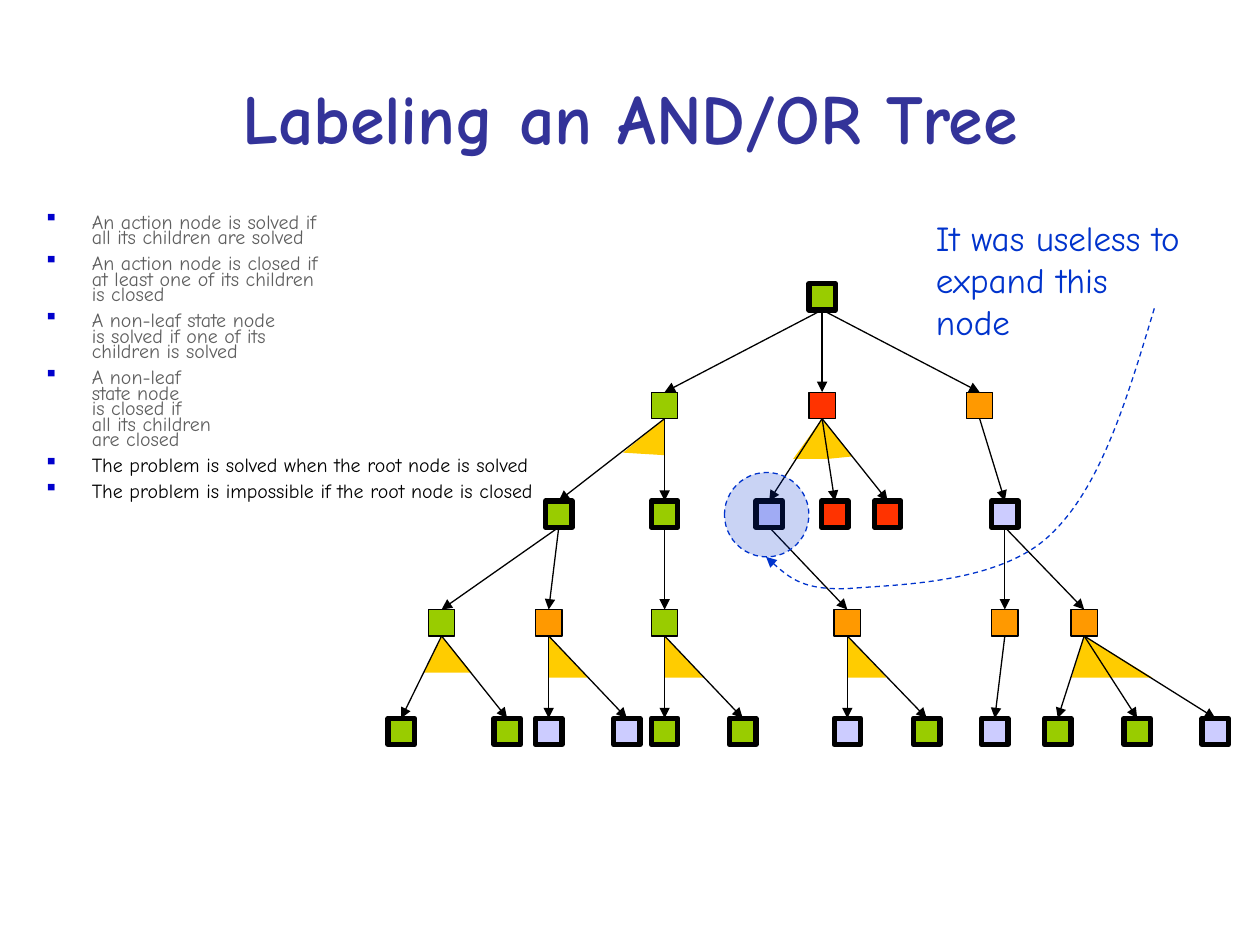
import dataclasses

import pptx
import pptx.dml.color
import pptx.enum.dml
import pptx.enum.shapes
import pptx.enum.text
import pptx.oxml
import pptx.oxml.ns
import pptx.util
from pptx.util import Inches, Pt

FONT = "Comic Neue"
COLORS = {
    "title": "333399", "bullet": "0000CC", "muted": "5F5F5F", "black": "000000",
    "note": "0033CC", "wedge": "FFCC00", "solved": "99CC00", "closed": "FF3300",
    "open_action": "FF9900", "open_state": "CCCCFF",
}
RULES = [
    ("An action node is solved if\vall its children are solved", "muted"),
    ("An action node is closed if\vat least one of its children\vis closed", "muted"),
    ("A non-leaf state node\vis solved if one of its\vchildren is solved", "muted"),
    ("A non-leaf\vstate node\vis closed if\vall its children\vare closed", "muted"),
    ("The problem is solved when the root node is solved", "black"),
    ("The problem is impossible if the root node is closed", "black"),
]
NODE_SIZE = 0.21
LEVEL_GAP = 0.8625


@dataclasses.dataclass
class Node:
    """x is the left edge within the tree; wedge lists offsets from the bottom centre."""
    x: float
    status: str
    children: tuple = ()
    wedge: tuple = ()


RIGHT_WEDGE = ((0, 0.33), (0.31, 0.33))
TREE = Node(3.34, "solved", (
    Node(2.09, "solved", (
        Node(1.25, "solved", (
            Node(0.32, "solved", (Node(0, "solved"), Node(0.84, "solved")),
                 ((-0.14, 0.29), (0.24, 0.29))),
            Node(1.17, "open_action", (Node(1.17, "open_state"), Node(1.79, "open_state")),
                 RIGHT_WEDGE),
        )),
        Node(2.09, "solved", (
            Node(2.09, "solved", (Node(2.09, "solved"), Node(2.71, "solved")), RIGHT_WEDGE),
        )),
    ), ((-0.33, 0.27), (0, 0.29))),
    Node(3.34, "closed", (
        Node(2.92, "open_state", (
            Node(3.54, "open_action", (Node(3.54, "open_state"), Node(4.17, "solved")),
                 RIGHT_WEDGE),
        )),
        Node(3.44, "closed"),
        Node(3.86, "closed"),
    ), ((-0.23, 0.32), (0.04, 0.32), (0.24, 0.3))),
    Node(4.59, "open_action", (
        Node(4.79, "open_state", (
            Node(4.79, "open_action", (Node(4.71, "open_state"),)),
            Node(5.42, "open_action",
                 (Node(5.21, "solved"), Node(5.84, "solved"), Node(6.46, "open_state")),
                 ((-0.1, 0.33), (0.54, 0.33))),
        )),
    )),
))


def rgb(name):
    return pptx.dml.color.RGBColor.from_string(COLORS[name])


def add_xml(parent, tag, **attributes):
    child = pptx.oxml.parse_xml(f"<a:{tag} {pptx.oxml.ns.nsdecls('a')}/>")
    for name, value in attributes.items():
        child.set(name, str(value))
    parent.append(child)
    return child


def style_font(paragraph, size, color, bold=False):
    font = paragraph.font
    font.name, font.size, font.bold = FONT, Pt(size), bold
    font.color.rgb = rgb(color)


def style_line(shape, color, width=0.75, dashed=False):
    shape.line.color.rgb = rgb(color)
    shape.line.width = Pt(width)
    if dashed:
        shape.line.dash_style = pptx.enum.dml.MSO_LINE.DASH


def add_text_frame(slide, left, top, width, height, wrap=True):
    box = slide.shapes.add_textbox(Inches(left), Inches(top), Inches(width), Inches(height))
    box.text_frame.word_wrap = wrap
    return box.text_frame


def add_polyline(slide, points, close):
    corners = [(Inches(x), Inches(y)) for x, y in points]
    builder = slide.shapes.build_freeform(*corners[0])
    builder.add_line_segments(corners[1:], close=close)
    shape = builder.convert_to_shape()
    shape.shadow.inherit = False
    return shape


def add_title(slide, left, top, width, height):
    frame = add_text_frame(slide, left, top, width, height)
    frame.vertical_anchor = pptx.enum.text.MSO_ANCHOR.MIDDLE
    paragraph = frame.paragraphs[0]
    paragraph.text = "Labeling an AND/OR Tree"
    paragraph.alignment = pptx.enum.text.PP_ALIGN.CENTER
    style_font(paragraph, 40, "title", bold=True)


def add_rules(slide, left, top, width, height):
    frame = add_text_frame(slide, left, top, width, height)
    for index, (text, color) in enumerate(RULES):
        paragraph = frame.add_paragraph() if index else frame.paragraphs[0]
        paragraph.text = text
        paragraph.line_spacing = 0.65
        paragraph.space_before = Pt(6 if index else 0)
        properties = paragraph._p.get_or_add_pPr()
        properties.set("marL", str(Inches(0.38)))
        properties.set("indent", str(-Inches(0.38)))
        add_xml(add_xml(properties, "buClr"), "srgbClr", val=COLORS["bullet"])
        add_xml(properties, "buChar", char="▪")
        style_font(paragraph, 11.4, color)


def add_tree(slide, left, top):
    """Draw wedges first, then nodes, then the arrows that join them."""
    levels = [[TREE]]
    while levels[-1]:
        levels.append([child for node in levels[-1] for child in node.children])

    for depth, nodes in enumerate(levels):
        bottom = top + depth * LEVEL_GAP + NODE_SIZE
        for node in nodes:
            if node.wedge:
                center = left + node.x + NODE_SIZE / 2
                points = [(center + dx, bottom + dy) for dx, dy in ((0, 0),) + node.wedge]
                wedge = add_polyline(slide, points, close=True)
                wedge.fill.solid()
                wedge.fill.fore_color.rgb = rgb("wedge")
                wedge.line.fill.background()

    squares = {}
    for depth, nodes in enumerate(levels):
        for node in nodes:
            square = slide.shapes.add_shape(
                pptx.enum.shapes.MSO_SHAPE.RECTANGLE, Inches(left + node.x),
                Inches(top + depth * LEVEL_GAP), Inches(NODE_SIZE), Inches(NODE_SIZE))
            square.shadow.inherit = False
            square.fill.solid()
            square.fill.fore_color.rgb = rgb(node.status)
            style_line(square, "black", 0.75 if depth % 2 else 3)
            squares[id(node)] = square

    for nodes in levels:
        for node in nodes:
            for child in node.children:
                arrow = slide.shapes.add_connector(
                    pptx.enum.shapes.MSO_CONNECTOR.STRAIGHT, 0, 0, 0, 0)
                arrow.begin_connect(squares[id(node)], 2)
                arrow.end_connect(squares[id(child)], 0)
                style_line(arrow, "black")
                add_xml(arrow.line._get_or_add_ln(), "tailEnd", type="triangle")
                add_xml(arrow._element.spPr, "effectLst")


def add_callout(slide, left, top):
    """Note, highlighted node and the dashed curve from one to the other."""
    frame = add_text_frame(slide, left + 1.58, top, 2.24, 0.77, wrap=False)
    for index, text in enumerate(("It was useless to", "expand this node")):
        paragraph = frame.add_paragraph() if index else frame.paragraphs[0]
        paragraph.text = text
        style_font(paragraph, 20, "note")

    circle = slide.shapes.add_shape(
        pptx.enum.shapes.MSO_SHAPE.OVAL, Inches(left), Inches(top + 2.08),
        Inches(0.67), Inches(0.67))
    circle.shadow.inherit = False
    circle.fill.solid()
    circle.fill.fore_color.rgb = rgb("note")
    fill_color = circle._element.spPr.find(pptx.oxml.ns.qn("a:solidFill"))[0]
    add_xml(fill_color, "alpha", val=21000)
    style_line(circle, "note", dashed=True)

    offsets = [(0.33, 2.75), (0.48, 2.89), (0.63, 3.02), (1, 3), (1.38, 2.97),
               (2.18, 2.96), (2.58, 2.58), (2.99, 2.2), (3.2, 1.48), (3.42, 0.75)]
    curve = add_polyline(slide, [(left + x, top + y) for x, y in offsets], close=False)
    outline = next(curve._element.iter(pptx.oxml.ns.qn("a:path")))
    segments = outline.findall(pptx.oxml.ns.qn("a:lnTo"))
    for start in range(0, len(segments), 3):
        bezier = add_xml(outline, "cubicBezTo")
        for segment in segments[start:start + 3]:
            bezier.append(segment[0])
            outline.remove(segment)
    curve.fill.background()
    style_line(curve, "note", dashed=True)
    add_xml(curve.line._get_or_add_ln(), "headEnd", type="triangle")


def main():
    presentation = pptx.Presentation()
    presentation.slide_width, presentation.slide_height = Inches(10), Inches(7.5)
    slide = presentation.slides.add_slide(presentation.slide_layouts[6])
    add_title(slide, 0.5, 0.3, 9, 1.25)
    add_rules(slide, 0.25, 1.67, 9.42, 2.5)
    add_tree(slide, 3.08, 2.25)
    add_callout(slide, 5.75, 1.67)
    presentation.save("out.pptx")


if __name__ == "__main__":
    main()
